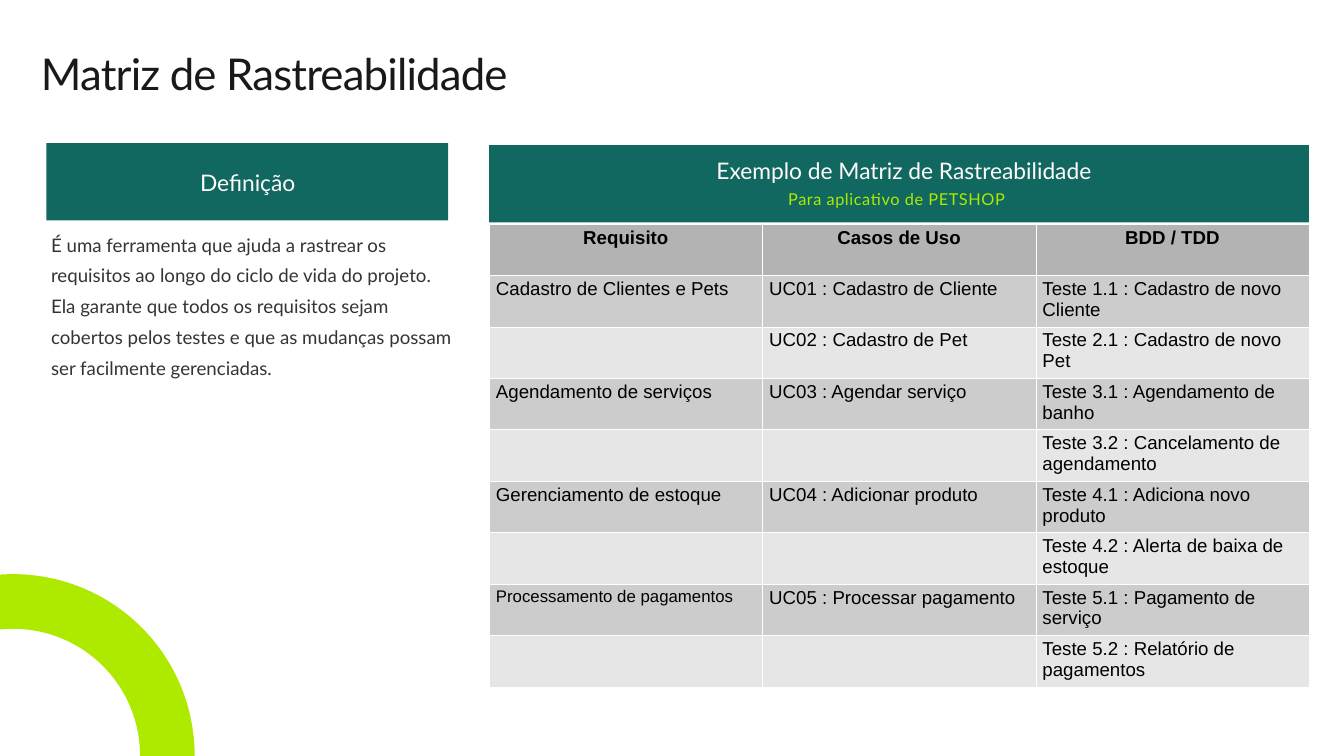
from pptx import Presentation
from pptx.dml.color import RGBColor as RGB
from pptx.enum.shapes import MSO_SHAPE as Shape
from pptx.enum.text import MSO_ANCHOR as Anchor, MSO_AUTO_SIZE as Fit, PP_ALIGN as Align
from pptx.oxml.ns import qn
from pptx.util import Inches, Pt
from lxml.etree import SubElement as Sub

TEAL = RGB(0x10, 0x68, 0x61)
LIME = RGB(0xAE, 0xEA, 0x00)
PALE = RGB(0xFF, 0xFB, 0xFB)
INK = RGB(0x19, 0x19, 0x19)
GRAY = RGB(0x34, 0x34, 0x32)
BLACK = RGB(0, 0, 0)
HEAD = RGB(0xB3, 0xB3, 0xB3)
BANDS = RGB(0xCC, 0xCC, 0xCC), RGB(0xE6, 0xE6, 0xE6)

ROWS = [
    ("Requisito", "Casos de Uso", "BDD / TDD"),
    ("Cadastro de Clientes e Pets", "UC01 : Cadastro de Cliente",
     "Teste 1.1 : Cadastro de novo Cliente"),
    ("", "UC02 : Cadastro de Pet", "Teste 2.1 : Cadastro de novo Pet"),
    ("Agendamento de serviços", "UC03 : Agendar serviço",
     "Teste 3.1 : Agendamento de banho"),
    ("", "", "Teste 3.2 : Cancelamento de agendamento"),
    ("Gerenciamento de estoque", "UC04 : Adicionar produto",
     "Teste 4.1 : Adiciona novo produto"),
    ("", "", "Teste 4.2 : Alerta de baixa de estoque"),
    ("Processamento de pagamentos", "UC05 : Processar pagamento",
     "Teste 5.1 : Pagamento de serviço"),
    ("", "", "Teste 5.2 : Relatório de pagamentos"),
]
SMALL = "Processamento de pagamentos"  # set smaller to stay on one line


def write(frame, text, size=20, color=BLACK, font="Lato", bold=False,
          align=Align.LEFT, lead=None, track=0):
    """Put one formatted paragraph in a text frame."""
    par = frame.paragraphs[0]
    par.alignment = align
    if lead:
        par.line_spacing = Pt(lead)
    run = par.add_run()
    run.text = text
    run.font.size = Pt(size)
    run.font.name = font
    run.font.bold = bold
    run.font.color.rgb = color
    if track:
        run.font._element.set("spc", str(round(track * 100)))


def place(box, x, y, w, h):
    box.left, box.top, box.width, box.height = map(Inches, (x, y, w, h))
    frame = box.text_frame
    frame.margin_left = frame.margin_right = 0
    frame.margin_top = frame.margin_bottom = 0
    frame.word_wrap = True
    frame.auto_size = Fit.NONE
    frame.vertical_anchor = Anchor.TOP
    return frame


def label(slide, text, x, y, w, h, **style):
    box = slide.shapes.add_textbox(0, 0, 0, 0)
    write(place(box, x, y, w, h), text, **style)


def bar(slide, x, y, w, h):
    box = slide.shapes.add_shape(Shape.RECTANGLE, *map(Inches, (x, y, w, h)))
    box.shadow.inherit = False
    box.fill.solid()
    box.fill.fore_color.rgb = TEAL
    box.line.fill.background()


def ring(slide, x, y, size):
    arc = slide.shapes.add_shape(Shape.OVAL, *map(Inches, (x, y, size, size)))
    arc.shadow.inherit = False
    arc.fill.background()
    arc.line.color.rgb = LIME
    arc.line.width = Pt(58.5)


def edge(cell):
    """Draw hairline white borders; they must come before the fill."""
    props = cell._tc.get_or_add_tcPr()
    for side in "LRTB":
        line = Sub(props, qn("a:ln" + side), w=str(Pt(0.06)))
        fill = Sub(line, qn("a:solidFill"))
        Sub(fill, qn("a:srgbClr"), val="FFFFFF")


def matrix(slide, x, y, w, h):
    grid = slide.shapes.add_table(len(ROWS), len(ROWS[0]),
                                  *map(Inches, (x, y, w, h))).table
    grid.first_row = grid.horz_banding = False
    for r, row in enumerate(ROWS):
        for c, text in enumerate(row):
            cell = grid.cell(r, c)
            edge(cell)
            cell.fill.solid()
            cell.fill.fore_color.rgb = BANDS[(r - 1) % 2] if r else HEAD
            if text:
                write(cell.text_frame, text, font="Arial", bold=r == 0,
                      size=18 if text == SMALL else 20,
                      align=Align.LEFT if r else Align.CENTER)


def main():
    deck = Presentation()
    deck.slide_width, deck.slide_height = Inches(20), Inches(11.25)
    slide = deck.slides.add_slide(deck.slide_layouts[5])
    mid = dict(align=Align.CENTER, size=24.4, color=PALE, lead=34.1)

    # Title
    write(place(slide.shapes.title, 0.61, 0.57, 9.94, 0.91),
          "Matriz de Rastreabilidade", size=46.9, color=INK, lead=65.7, track=-0.9)

    # Definition
    bar(slide, 0.69, 2.13, 5.98, 1.15)
    label(slide, "Definição", 1.04, 2.44, 5.29, 0.47, **mid)
    label(slide, "É uma ferramenta que ajuda a rastrear os requisitos ao longo do "
          "ciclo de vida do projeto. Ela garante que todos os requisitos sejam "
          "cobertos pelos testes e que as mudanças possam ser facilmente "
          "gerenciadas.", 0.76, 3.35, 5.99, 2.75, color=GRAY, lead=33)

    # Example matrix
    bar(slide, 7.28, 2.16, 12.2, 1.15)
    label(slide, "Exemplo de Matriz de Rastreabilidade", 8.07, 2.27, 10.76, 0.47, **mid)
    label(slide, "Para aplicativo de PETSHOP", 8.66, 2.82, 9.37, 0.29,
          size=17.5, color=LIME, align=Align.CENTER, lead=21, track=0.6)
    ring(slide, -2.1, 8.95, 4.59)
    matrix(slide, 7.28, 3.33, 12.2, 6.89)

    deck.save("out.pptx")


if __name__ == "__main__":
    main()
